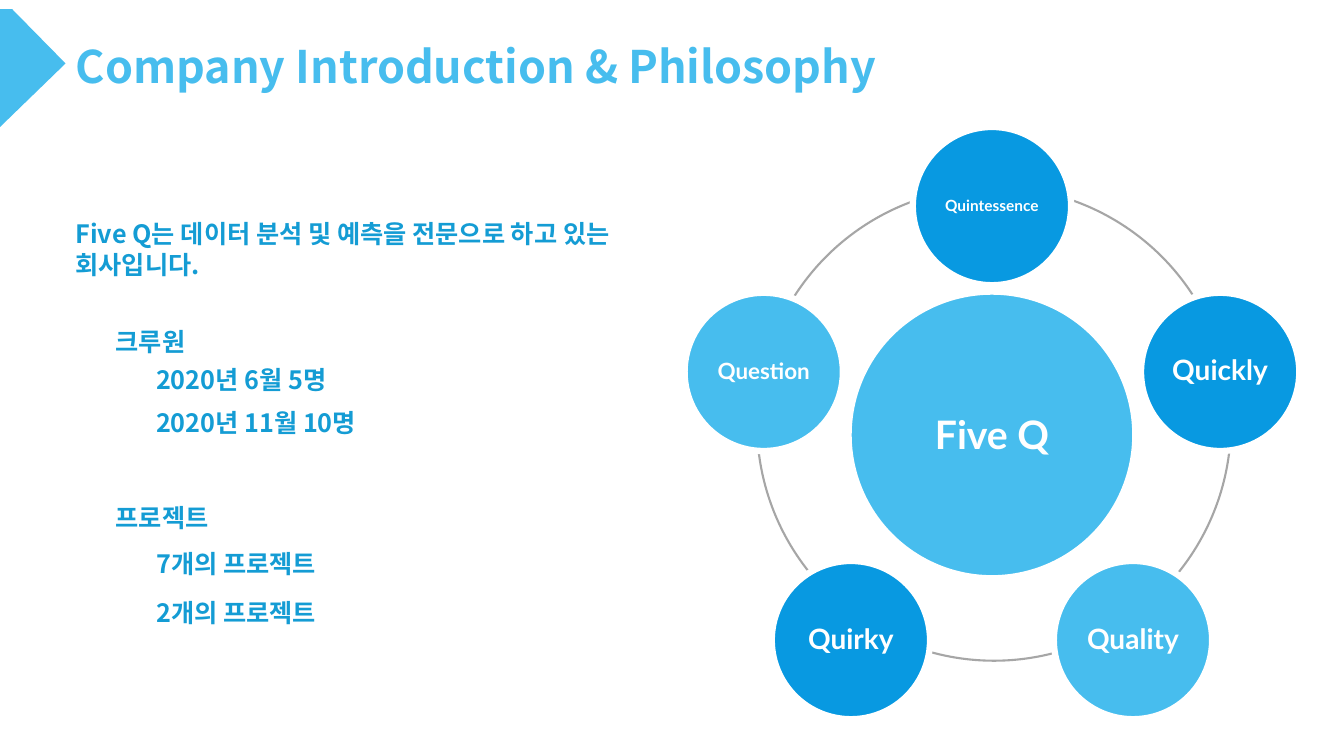
from math import cos, pi, sin

from lxml.etree import SubElement
from pptx import Presentation
from pptx.dml.color import RGBColor
from pptx.enum.shapes import MSO_SHAPE
from pptx.enum.text import MSO_ANCHOR, MSO_AUTO_SIZE, PP_ALIGN
from pptx.oxml.ns import qn
from pptx.util import Inches, Pt

COLORS = {"sky": "47BDEE", "blue": "0899E1", "text": "149CD4",
          "ring": "A6A6A6", "white": "FFFFFF"}
TITLE_FONT, BODY_FONT, CIRCLE_FONT = "Noto Sans CJK SC", "Noto Sans CJK KR", "Lato"

VALUES = [("Quintessence", 11, "blue"), ("Quickly", 20, "blue"),
          ("Quality", 20, "sky"), ("Quirky", 20, "blue"), ("Question", 16, "sky")]

# indent level, top, height, text
OUTLINE = [
    (0, 2.12, 0.71, "Five Q는 데이터 분석 및 예측을 전문으로 하고 있는 회사입니다."),
    (1, 3.19, 0.4, "크루원"),
    (2, 3.57, 0.4, "2020년 6월 5명"),
    (2, 3.99, 0.4, "2020년 11월 10명"),
    (1, 4.93, 0.4, "프로젝트"),
    (2, 5.39, 0.4, "7개의 프로젝트"),
    (2, 5.88, 0.4, "2개의 프로젝트"),
]


def rgb(name):
    return RGBColor.from_string(COLORS[name])


def write(shape, text, size, font, color, align=PP_ALIGN.LEFT, **frame):
    tf = shape.text_frame
    frame = {"word_wrap": True, "auto_size": MSO_AUTO_SIZE.NONE,
             "vertical_anchor": MSO_ANCHOR.TOP} | frame
    for name, value in frame.items():
        setattr(tf, name, value)
    p = tf.paragraphs[0]
    p.alignment = align
    r = p.add_run()
    r.text = text
    for name, value in {"size": Pt(size), "bold": True, "name": font}.items():
        setattr(r.font, name, value)
    r.font.color.rgb = rgb(color)
    SubElement(r.font._element, qn("a:ea")).set("typeface", font)
    return p


def paint(shape, fill=None, line=None, width=1):
    shape.shadow.inherit = False
    if fill:
        shape.fill.solid()
        shape.fill.fore_color.rgb = rgb(fill)
    else:
        shape.fill.background()
    if line:
        shape.line.color.rgb = rgb(line)
        shape.line.width = Pt(width)
    else:
        shape.line.fill.background()


def add_circle(s, x, y, diameter, **style):
    """Draw a circle centred on (x, y)."""
    left, top = x - diameter / 2, y - diameter / 2
    sp = s.shapes.add_shape(MSO_SHAPE.OVAL, Inches(left), Inches(top),
                            Inches(diameter), Inches(diameter))
    paint(sp, **style)
    return sp


def add_header(s, left, top):
    """Draw the corner arrow and place the title to its right."""
    points = [(0, 0), (0.12, 0), (0.65, 0.54), (0, 1.17)]
    points = [(Inches(left + x), Inches(top + y)) for x, y in points]
    builder = s.shapes.build_freeform(*points[0])
    builder.add_line_segments(points[1:], close=True)
    paint(builder.convert_to_shape(), fill="sky")

    title = s.shapes.title
    box = {"left": left + 0.65, "top": top + 0.24, "width": 8.57, "height": 0.64}
    for name, value in box.items():
        setattr(title, name, Inches(value))
    write(title, "Company Introduction & Philosophy", 32, TITLE_FONT, "sky")


def add_outline(s, left, width):
    for level, top, height, text in OUTLINE:
        box = s.shapes.add_textbox(Inches(left + 0.4 * level), Inches(top),
                                   Inches(width), Inches(height))
        write(box, text, 18, BODY_FONT, "text")


def add_value_wheel(s, left, top):
    """Draw five circles evenly spaced around the company name."""
    orbit, diameter = 2.38, 1.57
    x = left + orbit * sin(2 * pi / 5) + diameter / 2
    y = top + orbit + diameter / 2
    add_circle(s, x + 0.02, y - 0.22, 4.7, line="ring", width=1.5)
    add_circle(s, x, y - 0.11, 2.81, fill="sky", line="white", width=2)

    inset = Inches(0.1)
    for i, (label, size, color) in enumerate(VALUES):
        angle = 2 * pi * i / len(VALUES)
        sp = add_circle(s, x + orbit * sin(angle), y - orbit * cos(angle),
                        diameter, fill=color, line="white", width=4.5)
        p = write(sp, label, size, CIRCLE_FONT, "white", PP_ALIGN.CENTER,
                  vertical_anchor=MSO_ANCHOR.MIDDLE, word_wrap=False,
                  margin_left=inset, margin_right=inset)
        p.line_spacing = 0.9

    name = s.shapes.add_textbox(Inches(x - 0.74), Inches(y - 0.55),
                                Inches(1.48), Inches(0.98))
    p = write(name, "Five Q", 28, CIRCLE_FONT, "white", PP_ALIGN.CENTER,
              word_wrap=False, margin_top=Inches(0.42), margin_bottom=Inches(0.28))
    p.line_spacing = Pt(17.1)


def main():
    prs = Presentation()
    prs.slide_width, prs.slide_height = Inches(13.33), Inches(7.5)
    s = prs.slides.add_slide(prs.slide_layouts[5])
    add_header(s, 0, 0.09)
    add_value_wheel(s, 6.79, 1.26)
    add_outline(s, 0.65, 6.12)
    prs.save("out.pptx")


if __name__ == "__main__":
    main()
